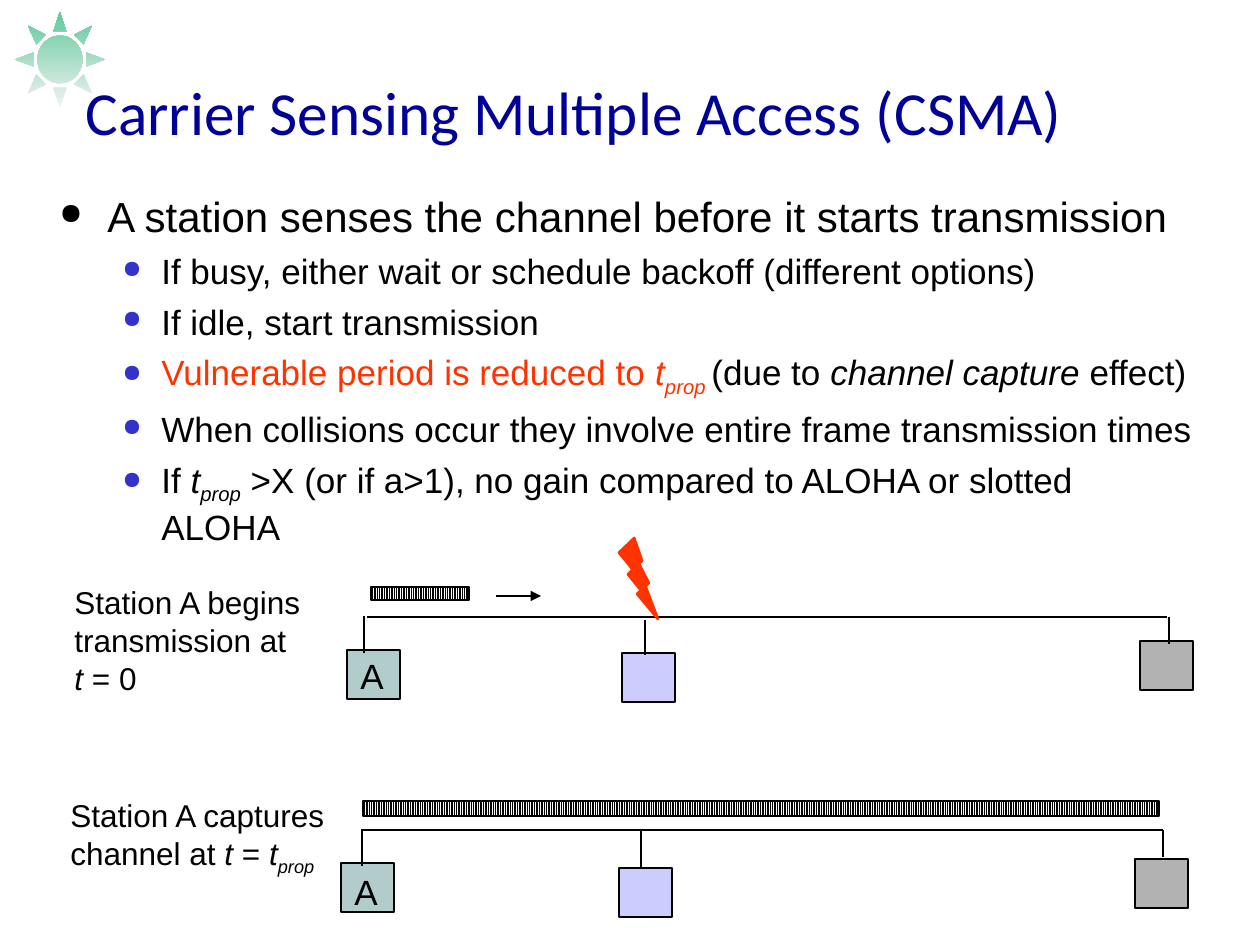
"""Build a slide on carrier sensing multiple access with two channel timelines."""
from dataclasses import dataclass
from typing import Optional

from lxml.etree import SubElement
from pptx import Presentation
from pptx.dml.color import RGBColor
from pptx.enum.dml import MSO_PATTERN
from pptx.enum.shapes import MSO_CONNECTOR, MSO_SHAPE
from pptx.enum.text import MSO_ANCHOR
from pptx.oxml.ns import qn
from pptx.util import Pt

PX = 914400 / 126
COLORS = {
    "title": "000099", "ink": "000000", "paper": "FFFFFF", "bullet": "3333CC",
    "alert": "FF3300", "sender": "B1CCCB", "middle": "CCCCFF", "far": "B2B2B2",
    "sun_low": "F2F2F2", "sun_high": "60C99C",
}


@dataclass(frozen=True)
class Span:
    text: str
    italic: bool = False
    sub: bool = False
    color: str = "ink"


@dataclass(frozen=True)
class Box:
    left: int
    top: int
    width: int
    height: int

    def emu(self) -> list[int]:
        return [px(v) for v in (self.left, self.top, self.width, self.height)]


@dataclass(frozen=True)
class Station:
    color: str
    left: int
    top: int
    drop_x: int
    drop_top: int
    drop_bottom: int


@dataclass(frozen=True)
class Timeline:
    caption_box: Box
    caption: list[list[Span]]
    bus: tuple[int, int, int]
    frame: Box
    letter_box: Box
    stations: list[Station]


T_PROP = [Span("t", italic=True), Span("prop", italic=True, sub=True)]
POINTS = [
    [Span("A station senses the channel before it starts transmission")],
    [Span("If busy, either wait or schedule backoff (different options)")],
    [Span("If idle, start transmission")],
    [Span("Vulnerable period is reduced to", color="alert"),
     Span(" t", italic=True, color="alert"),
     Span("prop ", italic=True, sub=True, color="alert"),
     Span("(due to "), Span("channel capture", italic=True), Span(" effect)")],
    [Span("When collisions occur they involve entire frame transmission times")],
    [Span("If "), *T_PROP,
     Span(" >X (or if a>1), no gain compared to ALOHA or slotted ALOHA")],
]
TIMELINES = [
    Timeline(
        Box(62, 577, 261, 126),
        [[Span("Station A begins transmission at")],
         [Span("t ", italic=True), Span("= 0")]],
        (367, 1167, 617), Box(371, 587, 98, 13), Box(348, 648, 48, 54),
        [Station("sender", 347, 650, 364, 616, 653),
         Station("middle", 622, 653, 645, 620, 655),
         Station("far", 1140, 641, 1169, 617, 644)]),
    Timeline(
        Box(58, 790, 290, 88),
        [[Span("Station A captures")],
         [Span("channel at "), Span("t ", italic=True), Span("= "), *T_PROP]],
        (363, 1163, 830), Box(363, 801, 796, 15), Box(342, 864, 48, 54),
        [Station("sender", 341, 863, 362, 829, 866),
         Station("middle", 619, 868, 641, 830, 867),
         Station("far", 1135, 859, 1163, 830, 857)]),
]


def px(length: int) -> int:
    return round(length * PX)


def rgb(name: str) -> RGBColor:
    return RGBColor.from_string(COLORS[name])


def add_spans(paragraph, spans: list[Span], size: int, font: str = "Arial") -> None:
    for span in spans:
        run = paragraph.add_run()
        run.text = span.text
        run.font.name, run.font.size = font, Pt(size)
        run.font.italic = span.italic
        run.font.color.rgb = rgb(span.color)
        if span.sub:
            run.font._element.set("baseline", "-25000")


def add_text(slide, box: Box, lines: list[list[Span]], size: int,
             font: str = "Arial", wrap: bool = True):
    frame = slide.shapes.add_textbox(*box.emu()).text_frame
    frame.word_wrap = wrap
    for index, spans in enumerate(lines):
        paragraph = frame.add_paragraph() if index else frame.paragraphs[0]
        add_spans(paragraph, spans, size if font != "Arial" or size < 24 or not index
                  else size - 4, font)
    return frame


def add_bullet(paragraph, level: int, color: str, margin: int, indent: int) -> None:
    paragraph.level = level
    paragraph.space_before = Pt(5)
    props = paragraph._p.get_or_add_pPr()
    props.set("marL", str(px(margin)))
    props.set("indent", str(px(-indent)))
    bullet_color = SubElement(props, qn("a:buClr"))
    SubElement(bullet_color, qn("a:srgbClr")).set("val", COLORS[color])
    SubElement(props, qn("a:buSzPct")).set("val", "70000")
    SubElement(props, qn("a:buChar")).set("char", "●")


def add_figure(slide, kind: MSO_SHAPE, box: Box, fill: Optional[str] = None,
               line: Optional[str] = "ink", weight: float = 1):
    figure = slide.shapes.add_shape(kind, *box.emu())
    figure.shadow.inherit = False
    if fill:
        figure.fill.solid()
        figure.fill.fore_color.rgb = rgb(fill)
    if line:
        figure.line.color.rgb = rgb(line)
        figure.line.width = Pt(weight)
    else:
        figure.line.fill.background()
    return figure


def add_line(slide, x1: int, y1: int, x2: int, y2: int, arrow: bool = False) -> None:
    wire = slide.shapes.add_connector(
        MSO_CONNECTOR.STRAIGHT, px(x1), px(y1), px(x2), px(y2))
    wire.line.color.rgb = rgb("ink")
    wire.line.width = Pt(1)
    if arrow:
        SubElement(wire.line._get_or_add_ln(), qn("a:tailEnd")).set("type", "triangle")
    SubElement(wire._element.spPr, qn("a:effectLst"))


def add_timeline(slide, timeline: Timeline) -> None:
    start, end, level = timeline.bus
    add_line(slide, start, level, end, level)
    for station in timeline.stations:
        add_figure(slide, MSO_SHAPE.RECTANGLE,
                   Box(station.left, station.top, 53, 49), station.color)
        add_line(slide, station.drop_x, station.drop_top,
                 station.drop_x, station.drop_bottom)
    frame = add_figure(slide, MSO_SHAPE.RECTANGLE, timeline.frame)
    frame.fill.patterned()
    frame.fill.pattern = MSO_PATTERN.LIGHT_VERTICAL
    frame.fill.fore_color.rgb = rgb("paper")
    frame.fill.back_color.rgb = rgb("ink")
    add_text(slide, timeline.letter_box, [[Span("A")]], 20, wrap=False)
    add_text(slide, timeline.caption_box, timeline.caption, 18)


def main() -> None:
    deck = Presentation()
    deck.slide_width, deck.slide_height = px(1260), px(945)
    slide = deck.slides.add_slide(deck.slide_layouts[6])
    title = add_text(slide, Box(73, 32, 1071, 158),
                     [[Span("Carrier Sensing Multiple Access (CSMA)", color="title")]],
                     35, "Calibri")
    title.vertical_anchor = MSO_ANCHOR.MIDDLE
    for timeline in TIMELINES:
        add_timeline(slide, timeline)
    add_line(slide, 496, 596, 541, 596, arrow=True)
    points = add_text(slide, Box(47, 184, 1160, 320), POINTS, 24)
    for index, paragraph in enumerate(points.paragraphs):
        add_bullet(paragraph, *((1, "bullet", 102, 39) if index else (0, "ink", 48, 48)))
    add_figure(slide, MSO_SHAPE.LIGHTNING_BOLT, Box(619, 538, 39, 81),
               "alert", "alert", 1.5)
    sun = add_figure(slide, MSO_SHAPE.SUN, Box(15, 12, 90, 95), line=None)
    sun.fill.gradient()
    sun.fill.gradient_angle = 90
    for stop, color in zip(sun.fill.gradient_stops, ("sun_low", "sun_high")):
        stop.color.rgb = rgb(color)
    deck.save("out.pptx")


if __name__ == "__main__":
    main()
